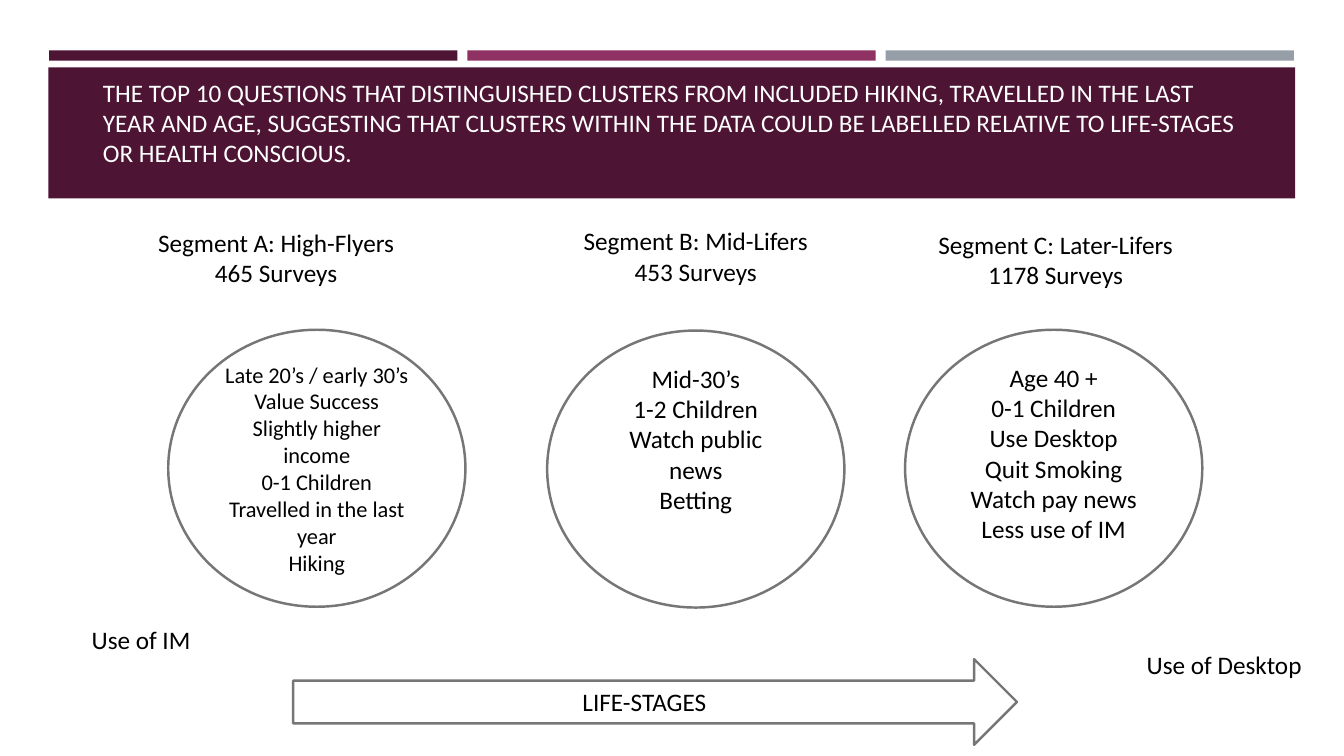
from pptx import Presentation
from pptx.dml.color import RGBColor
from pptx.enum.shapes import MSO_SHAPE
from pptx.enum.text import MSO_ANCHOR, MSO_AUTO_SIZE, PP_ALIGN
from pptx.util import Cm, Pt

RECTANGLE, OVAL, RIGHT_ARROW = MSO_SHAPE.RECTANGLE, MSO_SHAPE.OVAL, MSO_SHAPE.RIGHT_ARROW
LEFT, CENTER = PP_ALIGN.LEFT, PP_ALIGN.CENTER
TOP, MIDDLE = MSO_ANCHOR.TOP, MSO_ANCHOR.MIDDLE
NO_AUTOFIT = MSO_AUTO_SIZE.NONE

PLUM = RGBColor(0x4D, 0x14, 0x34)
MAGENTA = RGBColor(0x90, 0x31, 0x63)
SLATE = RGBColor(0x96, 0x9F, 0xA7)
OUTLINE = RGBColor(0x76, 0x76, 0x76)
WHITE = RGBColor(0xFF, 0xFF, 0xFF)
BLACK = RGBColor(0x00, 0x00, 0x00)

TITLE = (
    "THE TOP 10 QUESTIONS THAT DISTINGUISHED CLUSTERS FROM INCLUDED HIKING, "
    "TRAVELLED IN THE LAST YEAR AND AGE, SUGGESTING THAT CLUSTERS WITHIN THE DATA "
    "COULD BE LABELLED RELATIVE TO LIFE-STAGES OR HEALTH CONSCIOUS."
)
HEADINGS = [
    (3.58, 5.61, 6.76, ["Segment A: High-Flyers", "465 Surveys"]),
    (13.79, 5.56, 7.49, ["Segment B: Mid-Lifers", "453 Surveys"]),
    (22.81, 5.66, 7.59, ["Segment C: Later-Lifers", "1178 Surveys"]),
]
SEGMENTS = [
    (4.24, 8.31, 16, 0.13, ["Late 20’s / early 30’s", "Value Success", "Slightly higher income",
                            "0-1 Children", "Travelled in the last year", "Hiking"]),
    (13.79, 8.33, 18, 1.65, ["Mid-30’s", "1-2 Children", "Watch public news", "Betting"]),
    (22.81, 8.31, 18, 0.9, ["Age 40 +", "0-1 Children", "Use Desktop", "Quit Smoking",
                            "Watch pay news", "Less use of IM"]),
]
LABELS = [(2.06, 15.6, "Use of IM"), (28.65, 16.23, "Use of Desktop")]


def write_text(frame, lines, size=18, color=BLACK, align=CENTER, anchor=MIDDLE,
               font="Calibri", bottom=0.13):
    frame.word_wrap = True
    frame.auto_size = NO_AUTOFIT
    frame.vertical_anchor = anchor
    frame.margin_bottom = Cm(bottom)
    frame.text = "\n".join(lines)
    for paragraph in frame.paragraphs:
        paragraph.alignment = align
        paragraph.font.size = Pt(size)
        paragraph.font.name = font
        paragraph.font.color.rgb = color


class SlideBuilder:
    def __init__(self, slide, outline=OUTLINE, outline_width=1.75):
        self.slide = slide
        self.outline = outline
        self.outline_width = Pt(outline_width)

    def bar(self, left, top, width, height, color):
        shape = self.slide.shapes.add_shape(RECTANGLE, Cm(left), Cm(top), Cm(width), Cm(height))
        shape.shadow.inherit = False
        shape.fill.solid()
        shape.fill.fore_color.rgb = color
        shape.line.fill.background()

    def title(self, left, top, width, height, text):
        title = self.slide.shapes.title
        title.left, title.top, title.width, title.height = Cm(left), Cm(top), Cm(width), Cm(height)
        write_text(title.text_frame, [text], color=WHITE, align=LEFT)
        title.element.getparent().append(title.element)

    def outlined(self, kind, left, top, width, height, lines, **text_format):
        shape = self.slide.shapes.add_shape(kind, Cm(left), Cm(top), Cm(width), Cm(height))
        shape.shadow.inherit = False
        shape.fill.solid()
        shape.fill.fore_color.rgb = WHITE
        shape.line.color.rgb = self.outline
        shape.line.width = self.outline_width
        write_text(shape.text_frame, lines, **text_format)

    def text_box(self, left, top, width, height, lines, **text_format):
        shape = self.slide.shapes.add_textbox(Cm(left), Cm(top), Cm(width), Cm(height))
        write_text(shape.text_frame, lines, anchor=TOP, **text_format)


def main():
    presentation = Presentation()
    presentation.slide_width, presentation.slide_height = Cm(33.87), Cm(19.05)
    builder = SlideBuilder(presentation.slides.add_slide(presentation.slide_layouts[5]))

    for index, color in enumerate([PLUM, MAGENTA, SLATE]):
        builder.bar(1.24 + index * 10.54, 1.27, 10.29, 0.26, color)
    builder.bar(1.22, 1.7, 31.42, 3.3, PLUM)
    builder.title(2.34, 0.99, 29.21, 4.19, TITLE)

    for left, top, size, bottom, lines in SEGMENTS:
        builder.outlined(OVAL, left, top, 7.49, 6.98, lines, size=size, bottom=bottom)
    builder.outlined(RIGHT_ARROW, 7.39, 16.61, 18.24, 2.16, ["LIFE-STAGES"])

    for left, top, width, lines in HEADINGS:
        builder.text_box(left, top, width, 1.8, lines)
    for left, top, label in LABELS:
        builder.text_box(left, top, 4.9, 1.02, [label], align=LEFT)

    presentation.save("out.pptx")


if __name__ == "__main__":
    main()
